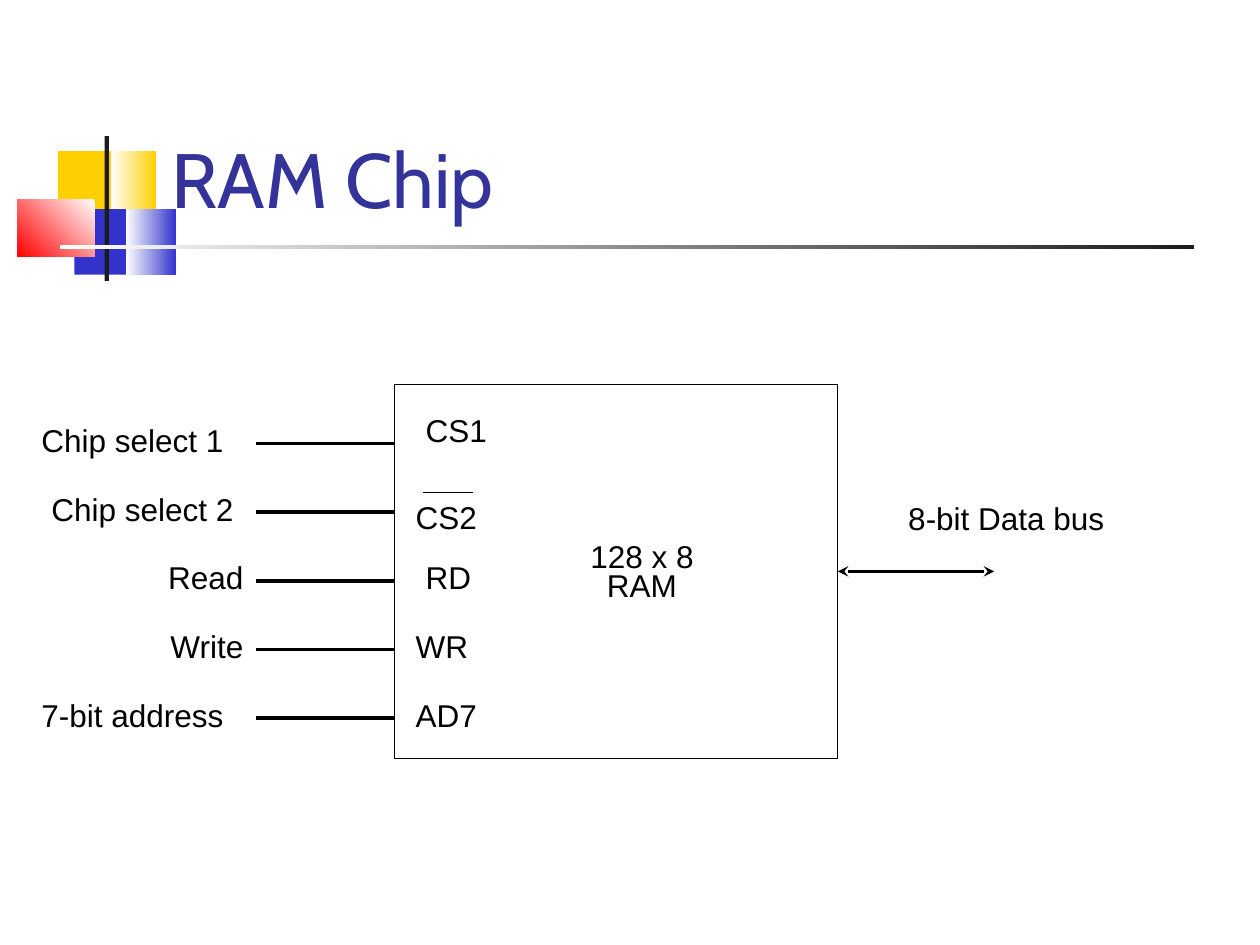
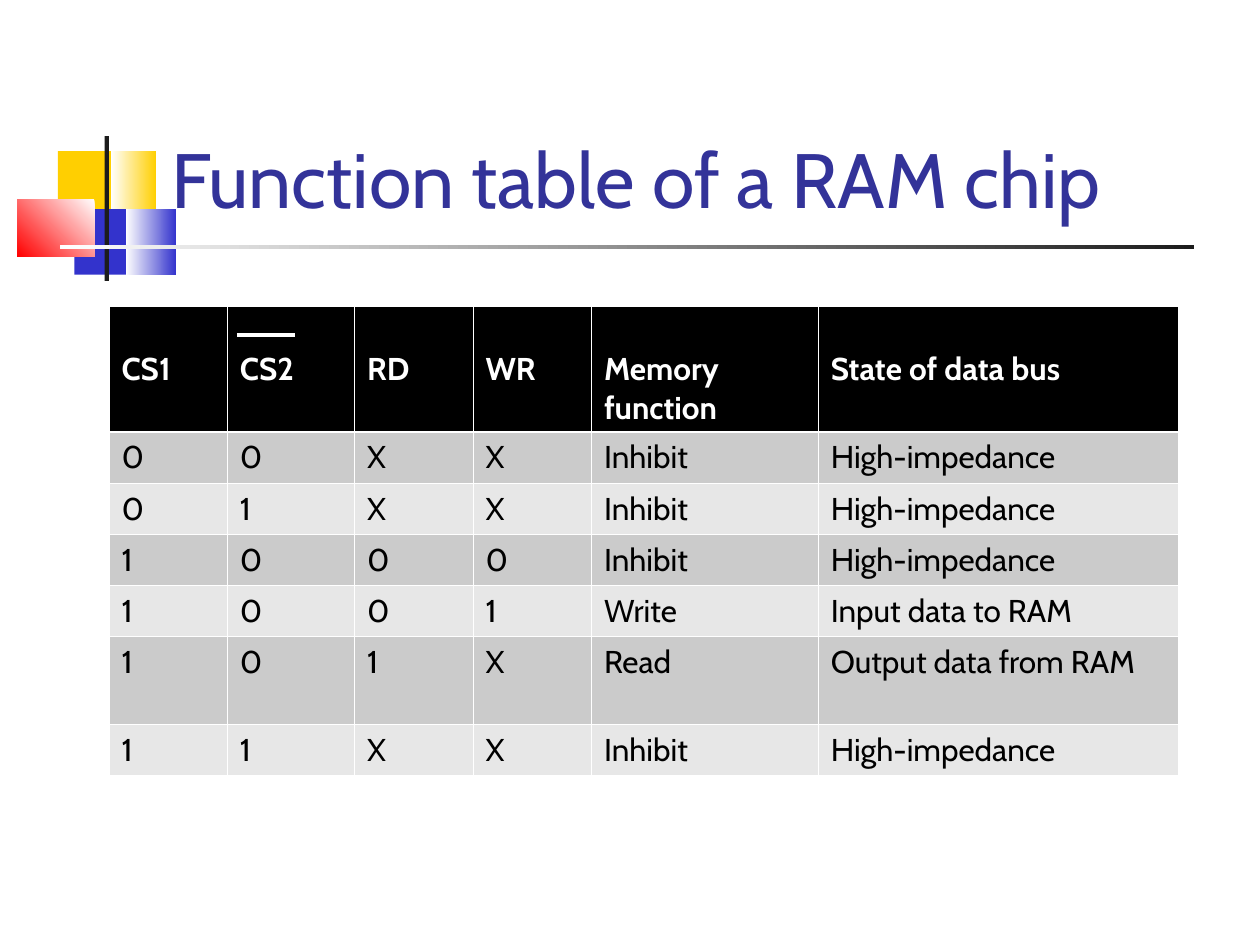
from dataclasses import dataclass

from lxml import etree
from pptx import Presentation
from pptx.dml.color import RGBColor
from pptx.enum.shapes import MSO_CONNECTOR, MSO_SHAPE
from pptx.enum.text import MSO_ANCHOR, MSO_AUTO_SIZE, PP_ALIGN
from pptx.oxml.ns import qn
from pptx.util import Emu, Inches, Pt

RECTANGLE = MSO_SHAPE.RECTANGLE
STRAIGHT = MSO_CONNECTOR.STRAIGHT
LEFT, CENTER, RIGHT = PP_ALIGN.LEFT, PP_ALIGN.CENTER, PP_ALIGN.RIGHT
RIGHT_SIDE = 3

BLACK = RGBColor(0x00, 0x00, 0x00)
WHITE = RGBColor(0xFF, 0xFF, 0xFF)
CHARCOAL = RGBColor(0x1C, 0x1C, 0x1C)
YELLOW = RGBColor(0xFF, 0xCF, 0x01)
BLUE = RGBColor(0x33, 0x33, 0xCC)
RED = RGBColor(0xFF, 0x00, 0x00)
TITLE_BLUE = RGBColor(0x33, 0x33, 0x99)
DARK_BAND = RGBColor(0xCB, 0xCB, 0xCB)
LIGHT_BAND = RGBColor(0xE7, 0xE7, 0xE7)

TITLE_FONT, DIAGRAM_FONT = "Cabin", "Arial"
BODY_SIZE = 18

# Square grid: 100 columns by 75 rows
SLIDE_WIDTH, SLIDE_HEIGHT = Inches(10), Inches(7.5)
CELL = SLIDE_WIDTH / 100


def grid(*counts: float) -> list[Emu]:
    return [Emu(round(count * CELL)) for count in counts]


@dataclass(frozen=True)
class Block:
    """Decorative rectangle; fades to a second colour when one is given."""
    area: tuple[float, float, float, float]
    color: RGBColor
    fade: RGBColor | None = None
    angle: float = 180


@dataclass(frozen=True)
class Signal:
    """Input wire with its outside label and the pin name inside the chip."""
    label: str
    pin: str
    label_left: float = 2.3
    align: PP_ALIGN = LEFT
    pin_left: float = 32
    pin_lift: float = 1.6


BLOCKS = (
    Block((4.6, 12, 4.8, 5.2), YELLOW),
    Block((8.8, 12, 3.6, 5.2), YELLOW, WHITE),
    Block((5.9, 16.6, 4.6, 5.2), BLUE),
    Block((10, 16.6, 4, 5.2), BLUE, WHITE),
    Block((1.4, 15.8, 6.1, 4.6), WHITE, RED, 225),
    Block((8.3, 10.8, 0.35, 11.5), CHARCOAL),
    Block((4.8, 19.45, 90, 0.35), CHARCOAL, WHITE),
)
TITLE_AREA = (12.6, 2.2, 85.2, 16.1)

CHIP_AREA = (31.3, 30.5, 35.2, 29.7)
WIRE_START, FIRST_WIRE, WIRE_GAP = 20.3, 35.2, 5.45
LABEL_LIFT, LINE_HEIGHT = 1.6, 3.3
SIGNALS = (
    Signal("Chip select 1", "CS1", pin_left=32.8, pin_lift=2.4),
    Signal("Chip select 2", "CS2", label_left=3.1, pin_lift=0.9),
    Signal("Read", "RD", align=RIGHT, pin_left=32.8),
    Signal("Write", "WR", align=RIGHT),
    Signal("7-bit address", "AD7"),
)

TABLE_LEFT, TABLE_TOP = 8.65, 24.3
COLUMN_WIDTHS = (9.4, 10.1, 9.4, 9.4, 18, 28.6)
ROW_HEIGHTS = (10, 4, 4, 4, 4, 7, 4)
FUNCTION_ROWS = (
    ("CS1", "CS2", "RD", "WR", "Memory function", "State of data bus"),
    ("0", "0", "X", "X", "Inhibit", "High-impedance"),
    ("0", "1", "X", "X", "Inhibit", "High-impedance"),
    ("1", "0", "0", "0", "Inhibit", "High-impedance"),
    ("1", "0", "0", "1", "Write", "Input data to RAM"),
    ("1", "0", "1", "X", "Read", "Output data from RAM"),
    ("1", "1", "X", "X", "Inhibit", "High-impedance"),
)
THIN_BORDER, HEADER_BORDER = 0.45, 1.47


def format_text(frame, font: str, size: float, color: RGBColor,
                align: PP_ALIGN = LEFT, spacing: float = 1, bold: bool = False) -> None:
    for para in frame.paragraphs:
        para.alignment = align
        para.line_spacing = spacing
        for span in para.runs:
            span.font.name = font
            span.font.size = Pt(size)
            span.font.bold = bold
            span.font.color.rgb = color


def add_blocks(page, layout) -> None:
    """Draw the corner blocks and rule, then hand them to the shared layout."""
    for number, block in enumerate(BLOCKS, start=100):
        shape = page.shapes.add_shape(RECTANGLE, *grid(*block.area))
        shape.shadow.inherit = False
        shape.line.fill.background()
        if block.fade is None:
            shape.fill.solid()
            shape.fill.fore_color.rgb = block.color
        else:
            shape.fill.gradient()
            shape.fill.gradient_angle = block.angle
            for stop, color in zip(shape.fill.gradient_stops, (block.color, block.fade)):
                stop.color.rgb = color
        element = shape._element
        element.nvSpPr.cNvPr.set("id", str(number))
        layout.shapes._spTree.append(element)


def set_title(page, text: str) -> None:
    title = page.shapes.title
    title.left, title.top, title.width, title.height = grid(*TITLE_AREA)
    frame = title.text_frame
    frame.text = text
    frame.auto_size = MSO_AUTO_SIZE.NONE
    frame.vertical_anchor = MSO_ANCHOR.BOTTOM
    format_text(frame, TITLE_FONT, 44, TITLE_BLUE, spacing=1.04)


def add_label(page, text: str, left: float, top: float, width: float,
              align: PP_ALIGN = LEFT) -> None:
    box = page.shapes.add_textbox(*grid(left, top, width, LINE_HEIGHT))
    frame = box.text_frame
    frame.word_wrap = True
    frame.text = text
    format_text(frame, DIAGRAM_FONT, BODY_SIZE, BLACK, align, spacing=0.76)


def add_wire(page, left: float, right: float, row: float,
             width: float = 2, color: RGBColor = BLACK):
    wire = page.shapes.add_connector(STRAIGHT, *grid(left, row, right, row))
    wire.line.width = Pt(width)
    wire.line.color.rgb = color
    etree.SubElement(wire._element.spPr, qn("a:effectLst"))
    return wire


def add_arrowheads(wire) -> None:
    line = wire.line._get_or_add_ln()
    for tag in ("a:headEnd", "a:tailEnd"):
        etree.SubElement(line, qn(tag), type="stealth")


def draw_chip(page) -> None:
    chip = page.shapes.add_shape(RECTANGLE, *grid(*CHIP_AREA))
    chip.shadow.inherit = False
    chip.fill.background()
    chip.line.color.rgb = BLACK
    chip.line.width = Pt(0.75)
    left, top, width, height = CHIP_AREA

    # Input wires, labels and pins
    for number, signal in enumerate(SIGNALS):
        row = FIRST_WIRE + number * WIRE_GAP
        add_wire(page, WIRE_START, left, row)
        add_label(page, signal.label, signal.label_left, row - LABEL_LIFT, 18, signal.align)
        add_label(page, signal.pin, signal.pin_left, row - signal.pin_lift, 7)
    add_wire(page, 33.6, 37.5, 39.1, width=0.75)

    # Chip name and data bus
    add_label(page, "128 x 8\nRAM", 44.7, 42.8, 12.5, CENTER)
    bus = add_wire(page, left + width, 78.9, top + height / 2)
    bus.begin_connect(chip, RIGHT_SIDE)
    add_arrowheads(bus)
    add_label(page, "8-bit Data bus", 71.1, 39.8, 24.2)


def set_borders(cell, top: float, bottom: float) -> None:
    properties = cell._tc.get_or_add_tcPr()
    sides = {"L": THIN_BORDER, "R": THIN_BORDER, "T": top, "B": bottom}
    for side, width in sides.items():
        line = etree.SubElement(properties, qn(f"a:ln{side}"), w=str(Pt(width)))
        fill = etree.SubElement(line, qn("a:solidFill"))
        etree.SubElement(fill, qn("a:srgbClr"), val=str(WHITE))


def draw_function_table(page) -> None:
    area = grid(TABLE_LEFT, TABLE_TOP, sum(COLUMN_WIDTHS), sum(ROW_HEIGHTS))
    table = page.shapes.add_table(len(ROW_HEIGHTS), len(COLUMN_WIDTHS), *area).table
    table.first_row = table.horz_banding = False
    for column, width in zip(table.columns, grid(*COLUMN_WIDTHS)):
        column.width = width
    for row, height in zip(table.rows, grid(*ROW_HEIGHTS)):
        row.height = height

    for row_number, texts in enumerate(FUNCTION_ROWS):
        header = row_number == 0
        band = BLACK if header else DARK_BAND if row_number % 2 else LIGHT_BAND
        for column_number, text in enumerate(texts):
            cell = table.cell(row_number, column_number)
            set_borders(cell, HEADER_BORDER if row_number == 1 else THIN_BORDER,
                        HEADER_BORDER if header else THIN_BORDER)
            cell.fill.solid()
            cell.fill.fore_color.rgb = band
            if header:
                cell.margin_top, cell.margin_bottom = grid(3.5, 0.2)
            cell.text_frame.text = text
            format_text(cell.text_frame, TITLE_FONT, BODY_SIZE,
                        WHITE if header else BLACK, bold=header)

    # Bar over CS2
    add_wire(page, 18.8, 23.4, 26.6, color=WHITE)


def main() -> None:
    deck = Presentation()
    deck.slide_width, deck.slide_height = SLIDE_WIDTH, SLIDE_HEIGHT
    layout = deck.slide_layouts.get_by_name("Title Only")
    contents = (
        ("RAM Chip", draw_chip),
        ("Function table of a RAM chip", draw_function_table),
    )
    for number, (title, draw) in enumerate(contents):
        page = deck.slides.add_slide(layout)
        if number == 0:
            add_blocks(page, layout)
        set_title(page, title)
        draw(page)
    deck.save("out.pptx")


if __name__ == "__main__":
    main()
